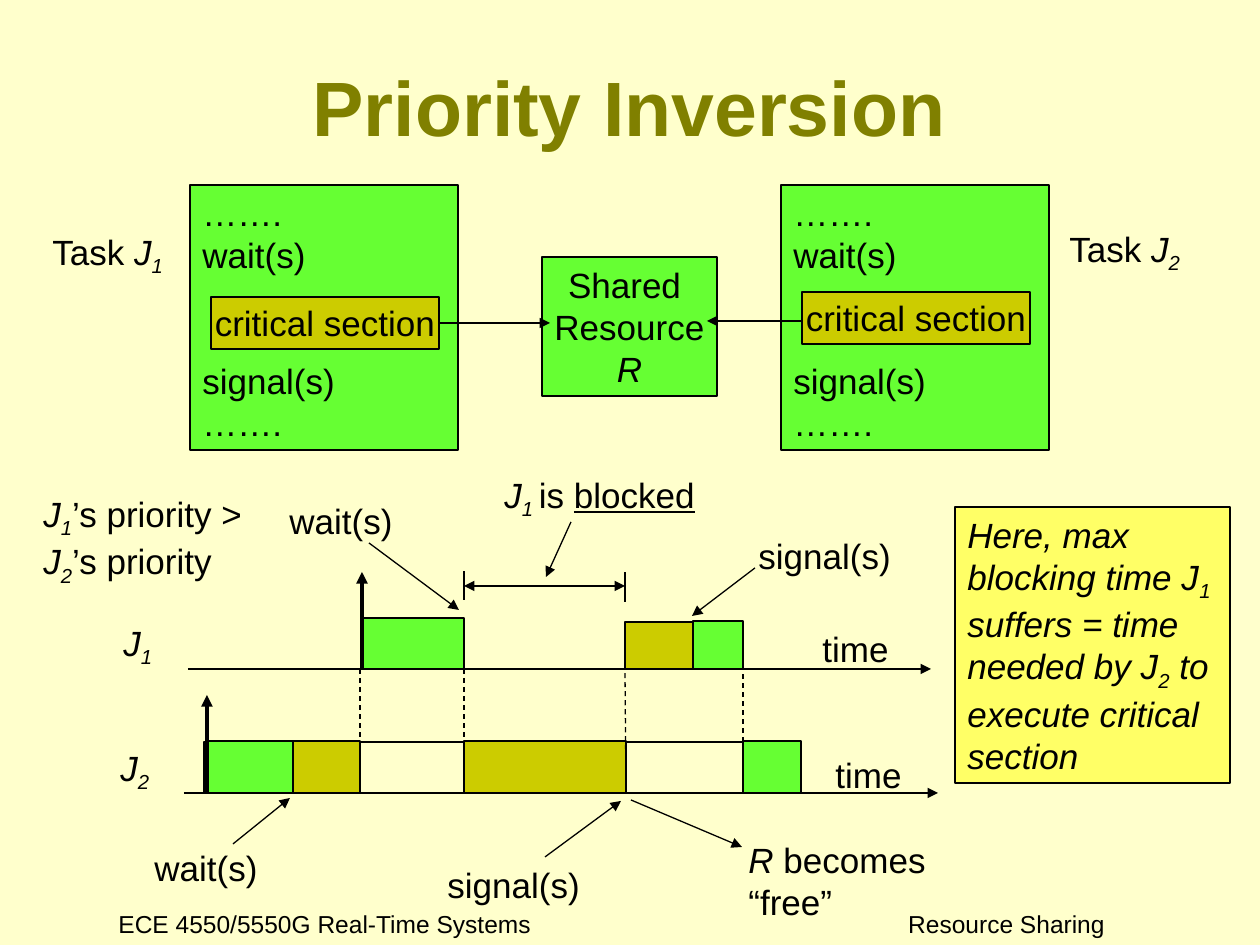
"""Build the Priority Inversion slide: two tasks sharing a resource, and their timeline."""
from lxml import etree
from pptx import Presentation
from pptx import util as u
from pptx.dml.color import RGBColor
from pptx.enum import dml, shapes, text
from pptx.oxml import ns

PX = 914400 // 126
COLOURS = {"page": "FFFFCC", "title": "808000", "ink": "000000", "run": "66FF33",
           "critical": "CCCC00", "note": "FFFF66"}
STYLES = {"i": {"italic": True}, "u": {"underline": True}, "s": {"italic": True}}

J1, J2 = [("J", "i"), ("1", "s")], [("J", "i"), ("2", "s")]
CODE = [[("…….", "")], [("wait(s)", "")], [("signal(s)", "")], [("…….", "")]]
CRITICAL = [[("critical section", "")]]
SHARED = [[("Shared ", "")], [("Resource", "")], [("R", "i")]]
NOTE = [[("Here, max blocking time J", "i"), ("1 ", "s"), ("suffers = time needed by J", "i"),
         ("2", "s"), (" to execute critical section", "i")]]

TASKS = [(190, (211, 297)), (781, (802, 292))]
LABELS = [
    ((40, 224, 140, 60), [[("Task ", "")] + J1], False),
    ((1057, 221, 140, 60), [[("Task ", "")] + J2], False),
    ((31, 486, 267, 108), [J1 + [("’s priority >", "")], J2 + [("’s priority", "")]], True),
    ((111, 615, 63, 60), [J1], False),
    ((108, 740, 63, 60), [J2], False),
    ((142, 840, 129, 55), [[("wait(s)", "")]], True),
    ((277, 493, 129, 55), [[("wait(s)", "")]], True),
    ((435, 857, 158, 55), [[("signal(s)", "")]], True),
    ((746, 528, 158, 55), [[("signal(s)", "")]], True),
    ((810, 621, 96, 55), [[("time", "")]], True),
    ((823, 747, 96, 55), [[("time", "")]], True),
    ((492, 467, 275, 60), [[("J", "i"), ("1 ", "s"), ("is ", ""), ("blocked", "u")]], True),
    ((736, 832, 282, 97), [[("R", "i"), (" becomes “free”", "")]], True),
]

AXES = {"J1": 669, "J2": 793}
BARS = [("J2", 204, 743, 51, None), ("J2", 207, 293, 52, "run"), ("J2", 293, 360, 52, "critical"),
        ("J2", 464, 626, 52, "critical"), ("J2", 743, 801, 52, "run"),
        ("J1", 362, 464, 51, "run"), ("J1", 693, 743, 48, "run"), ("J1", 625, 693, 47, "critical")]
ARROWS = [(802, 321, 707, 321), (440, 323, 550, 323),
          (184, 793, 938, 793), (188, 669, 931, 669),
          (233, 844, 290, 798), (369, 543, 459, 610), (545, 857, 621, 801),
          (755, 568, 692, 616), (571, 522, 546, 577), (631, 800, 742, 847)]
STARTS = [(207, 793, 207, 695), (362, 669, 362, 572)]
DASHES = [(625, 664, 626, 790), (464, 669, 464, 745), (360, 669, 360, 745), (743, 665, 743, 742)]
TICKS = [(464, 600, 464, 571), (625, 602, 625, 572)]
SPAN = (464, 586, 625, 586)


def colour(name):
    return RGBColor.from_string(COLOURS[name])


def emu(lengths):
    return [length * PX for length in lengths]


def apply(target, values):
    for name, value in values.items():
        setattr(target, name, value)


def write(box, paragraphs, wrap=True, align=text.PP_ALIGN.LEFT, anchor=text.MSO_ANCHOR.TOP,
          size=20, ink="ink", bold=False):
    frame = box.text_frame
    apply(frame, {"word_wrap": wrap, "vertical_anchor": anchor, "auto_size": text.MSO_AUTO_SIZE.NONE})
    for index, spans in enumerate(paragraphs):
        para = frame.paragraphs[0] if index == 0 else frame.add_paragraph()
        para.alignment = align
        for words, style in spans:
            span = para.add_run()
            span.text = words
            apply(span.font, {"name": "Arial", "size": u.Pt(size), "bold": bold, **STYLES.get(style, {})})
            span.font.color.rgb = colour(ink)
            if style == "s":
                span.font._element.set("baseline", "-25000")
    return frame


def add_label(page, place, paragraphs, wrap=True, **style):
    return write(page.shapes.add_textbox(*emu(place)), paragraphs, wrap, **style)


def add_box(page, place, fill):
    box = page.shapes.add_shape(shapes.MSO_SHAPE.RECTANGLE, *emu(place))
    box.shadow.inherit = False
    if fill:
        box.fill.solid()
        box.fill.fore_color.rgb = colour(fill)
    else:
        box.fill.background()
    box.line.color.rgb = colour("ink")
    box.line.width = u.Pt(0.75)
    return box


def add_line(page, ends, width=0.75, arrows=(), dash=None):
    line = page.shapes.add_connector(shapes.MSO_CONNECTOR.STRAIGHT, *emu(ends))
    line.line.color.rgb = colour("ink")
    apply(line.line, {"width": u.Pt(width), "dash_style": dash})
    for end in arrows:
        etree.SubElement(line.line._get_or_add_ln(), ns.qn(f"a:{end}"), type="triangle")
    etree.SubElement(line._element.spPr, ns.qn("a:effectLst"))


def draw_tasks(page):
    centred = {"wrap": False, "align": text.PP_ALIGN.CENTER}
    for left, (inner_left, inner_top) in TASKS:
        frame = write(add_box(page, (left, 185, 268, 265), "run"), CODE)
        frame.paragraphs[2].space_before = u.Pt(48)
        inner = add_box(page, (inner_left, inner_top, 228, 52), "critical")
        write(inner, CRITICAL, anchor=text.MSO_ANCHOR.MIDDLE, **centred)
    write(add_box(page, (542, 257, 175, 139), "run"), SHARED, **centred)


def draw_timeline(page):
    for axis, start, end, height, fill in BARS:
        add_box(page, (start, AXES[axis] - height, end - start, height), fill)
    for ends in STARTS:
        add_line(page, ends, 2.25, ["tailEnd"])
    for ends in ARROWS:
        add_line(page, ends, arrows=["tailEnd"])
    for ends in DASHES:
        add_line(page, ends, dash=dml.MSO_LINE.DASH)
    for ends in TICKS:
        add_line(page, ends)
    add_line(page, SPAN, arrows=["headEnd", "tailEnd"])


def main():
    deck = Presentation()
    deck.slide_width, deck.slide_height = u.Inches(10), u.Inches(7.5)
    page = deck.slides.add_slide(deck.slide_layouts[5])
    page.background.fill.solid()
    page.background.fill.fore_color.rgb = colour("page")

    title = page.shapes.title
    apply(title, dict(zip(("left", "top", "width", "height"), emu((73, 53, 1113, 105)))))
    write(title, [[("Priority Inversion", "")]], align=text.PP_ALIGN.CENTER,
          anchor=text.MSO_ANCHOR.MIDDLE, size=44, ink="title", bold=True)

    add_label(page, (106, 903, 438, 42), [[("ECE 4550/5550G Real-Time Systems", "")]], False, size=14)
    topic = add_label(page, (805, 903, 369, 39), [[("Resource Sharing", "")]],
                      align=text.PP_ALIGN.RIGHT, size=14)
    topic.margin_right = 69 * PX

    draw_tasks(page)
    draw_timeline(page)
    for place, paragraphs, wrap in LABELS:
        add_label(page, place, paragraphs, wrap)
    write(add_box(page, (955, 507, 275, 276), "note"), NOTE)
    deck.save("out.pptx")


if __name__ == "__main__":
    main()
